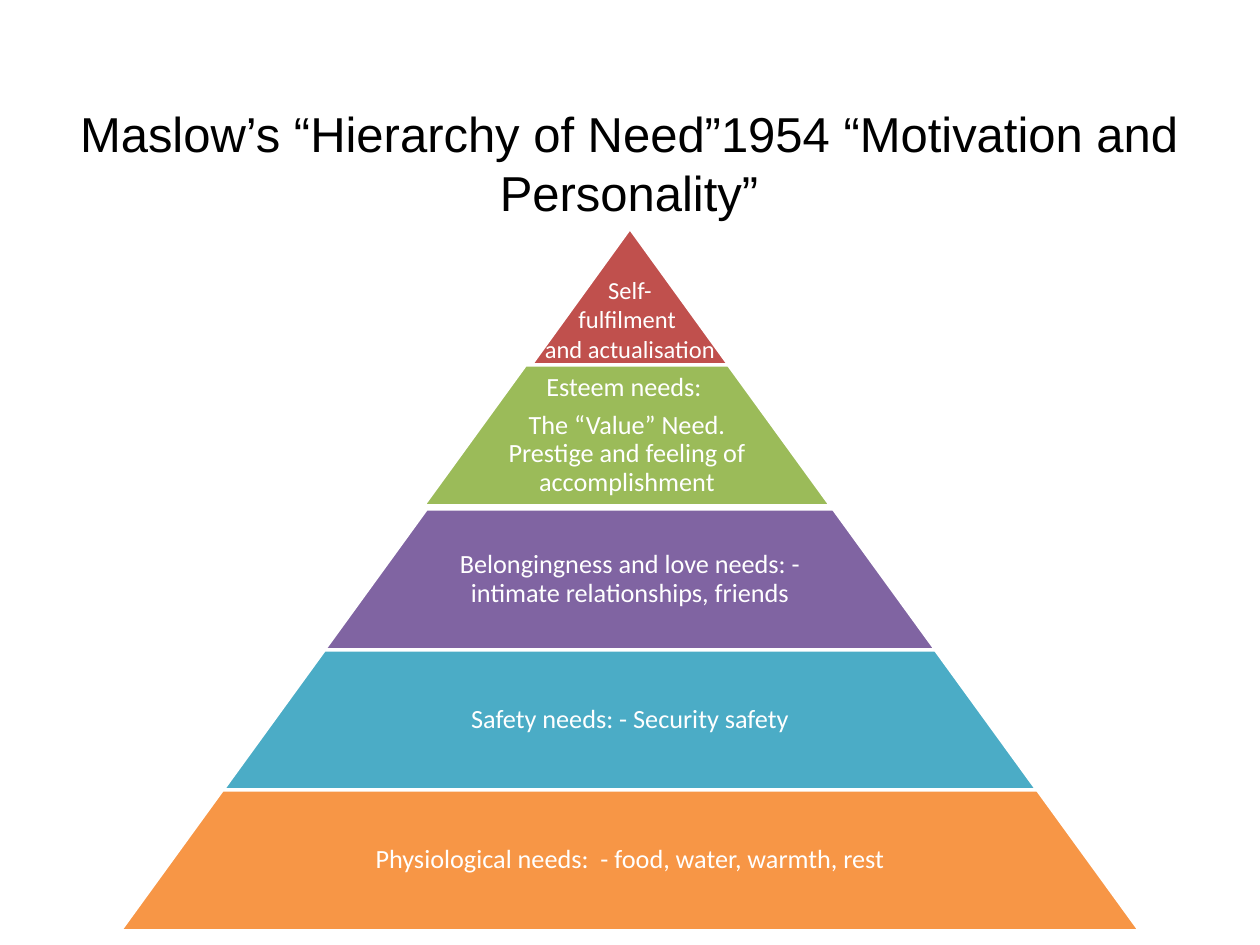
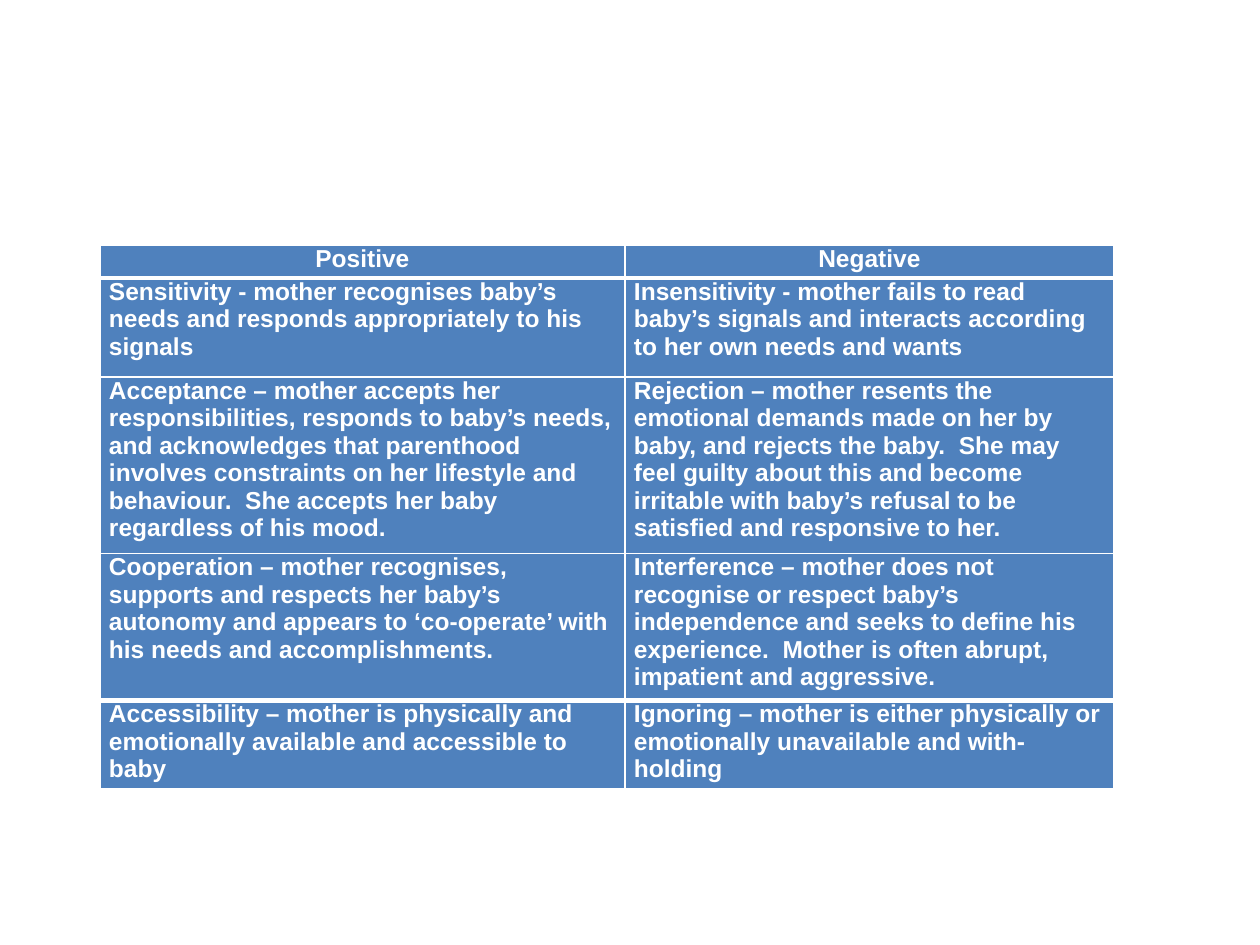
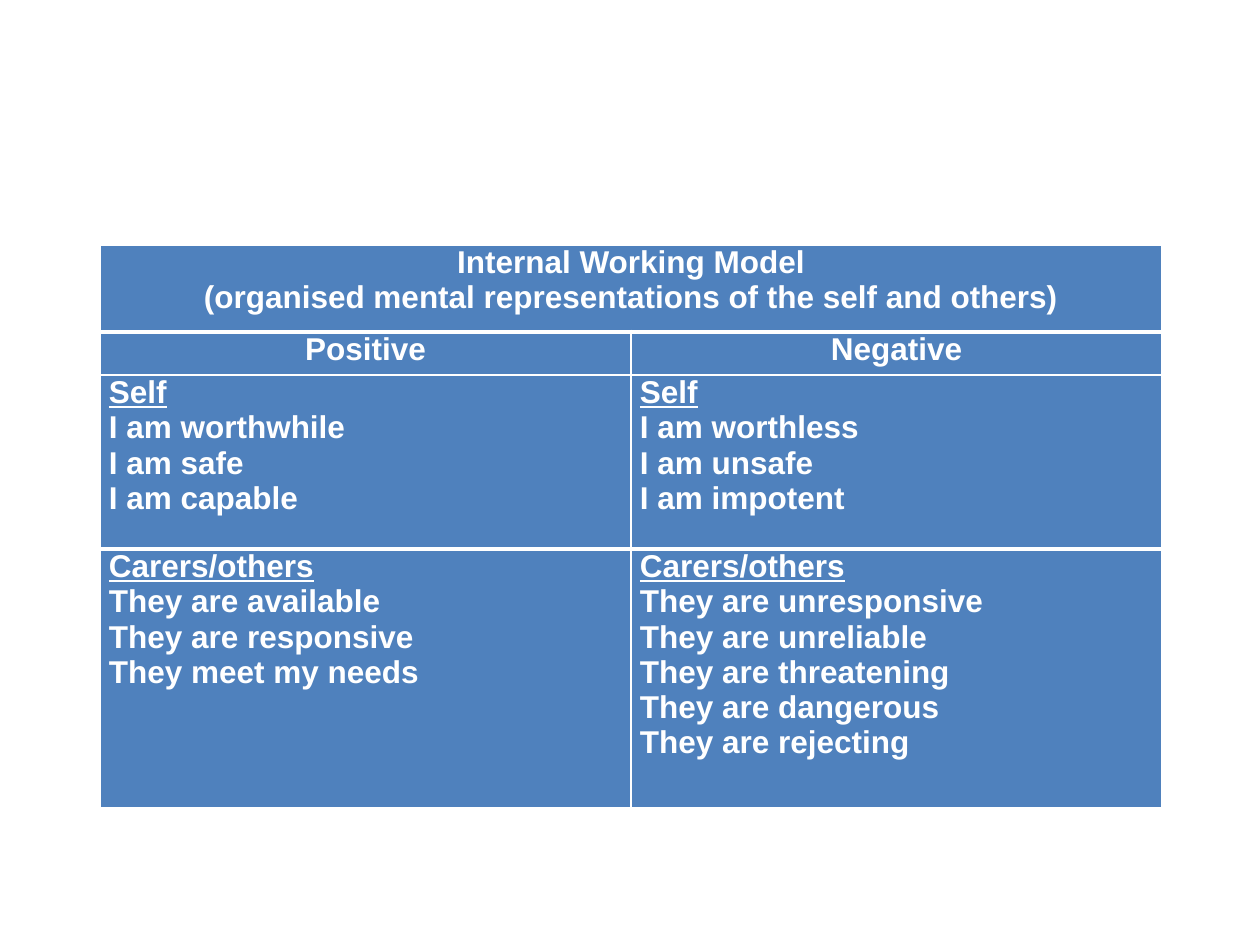
from pptx import Presentation
from pptx import util as u
from pptx.dml import color
from pptx.enum import shapes, text
from pptx.oxml import ns
from lxml import etree

WHITE, BLACK, BLUE = "FFFFFF", "000000", "4F81BD"
MID, CENTER = text.MSO_ANCHOR.MIDDLE, text.PP_ALIGN.CENTER

# Pyramid: (fill, top, centre, text width, top inset, size, lines)
TIERS = [
    ("C0504D", 228, 630, 204, 44, 14,
     ["Self-", "fulfilment ", "and actualisation"]),
    ("9BBB59", 365, 627, 266, 3, 15,
     ["Esteem needs: ",
      "The “Value” Need. Prestige and feeling of accomplishment"]),
    ("8064A2", 509, 630, 398, 3, 15,
     ["Belongingness and love needs: - intimate relationships, friends"]),
    ("4BACC6", 650, 630, 530, 3, 15, ["Safety needs: - Security safety"]),
    ("F79646", 790, 630, 663, 3, 15,
     ["Physiological needs:  - food, water, warmth, rest"]),
]
TIER_H, STEP = 141, 204

CARE = [
    [["Positive"], ["Negative"]],
    [["Sensitivity - mother recognises baby’s needs and responds "
      "appropriately to his signals"],
     ["Insensitivity - mother fails to read baby’s signals and interacts "
      "according to her own needs and wants"]],
    [["Acceptance – mother accepts her responsibilities, responds to baby’s "
      "needs, and acknowledges that parenthood involves constraints on her "
      "lifestyle and behaviour.  She accepts her baby regardless of his mood."],
     ["Rejection – mother resents the emotional demands made on her by baby, "
      "and rejects the baby.  She may feel guilty about this and become "
      "irritable with baby’s refusal to be satisfied and responsive to her."]],
    [["Cooperation – mother recognises, supports and respects her baby’s "
      "autonomy and appears to ‘co-operate’ with his needs and "
      "accomplishments."],
     ["Interference – mother does not recognise or respect baby’s "
      "independence and seeks to define his experience.  Mother is often "
      "abrupt, impatient and aggressive."]],
    [["Accessibility – mother is physically and emotionally available and "
      "accessible to baby"],
     ["Ignoring – mother is either physically or emotionally unavailable and "
      "with-holding"]],
]

MODEL = [
    [["Internal Working Model",
      "(organised mental representations of the self and others)"], []],
    [["Positive"], ["Negative"]],
    [["Self", "I am worthwhile", "I am safe", "I am capable"],
     ["Self", "I am worthless", "I am unsafe", "I am impotent"]],
    [["Carers/others", "They are available", "They are responsive",
      "They meet my needs"],
     ["Carers/others", "They are unresponsive", "They are unreliable",
      "They are threatening", "They are dangerous", "They are rejecting"]],
]


def px(n):
    return u.Emu(round(n * 914400 / 126))


def rgb(code):
    return color.RGBColor.from_string(code)


def write(frame, lines, size, font, ink, align=None, bold=False, head=False,
          space=None, after=0):
    """Fill a text frame; head underlines the first line."""
    for i, line in enumerate(lines):
        para = frame.paragraphs[0] if i == 0 else frame.add_paragraph()
        para.alignment = align
        para.space_after = u.Pt(after)
        if space:
            para.line_spacing = space
        run = para.add_run()
        run.text = line
        face = run.font
        face.name, face.size, face.bold = font, u.Pt(size), bold
        face.underline = head and i == 0
        face.color.rgb = rgb(ink)


def label(parent, x, y, w, h, lines, size, font, ink, pads=None, **look):
    box = parent.add_textbox(px(x), px(y), px(w), px(h))
    frame = box.text_frame
    frame.word_wrap = True
    frame.vertical_anchor = MID
    if pads:
        (frame.margin_left, frame.margin_top,
         frame.margin_right, frame.margin_bottom) = map(px, pads)
    write(frame, lines, size, font, ink, CENTER, **look)


def tier(group, i, fill, top, mid, width, inset, size, lines):
    """One band of the pyramid, each wider than the last by a step."""
    wide = STEP * (i + 1)
    band = group.add_shape(shapes.MSO_SHAPE.TRAPEZOID, px(mid - wide / 2),
                           px(top), px(wide), px(TIER_H))
    band.adjustments[0] = 0.726
    band.shadow.inherit = False
    band.fill.solid()
    band.fill.fore_color.rgb = rgb(fill)
    band.line.color.rgb = rgb(WHITE)
    band.line.width = u.Pt(2)
    solo = i == 0
    label(group, mid - width / 2, top, width, TIER_H, lines, size, "Calibri",
          WHITE, (3, inset, 3, 3), space=None if solo else 0.9,
          after=0 if solo else 5.25)


def edge(cell, side, width):
    props = cell._tc.get_or_add_tcPr()
    line = etree.SubElement(props, ns.qn("a:ln" + side), w=str(u.Pt(width)))
    fill = etree.SubElement(line, ns.qn("a:solidFill"))
    etree.SubElement(fill, ns.qn("a:srgbClr"), val=WHITE)


def grid(slide, data, cols, rows, size, heads):
    """Blue table; thick rules follow the first row and precede the last."""
    frame = slide.shapes.add_table(len(rows), len(cols), px(100), px(245),
                                   px(sum(cols)), px(sum(rows)))
    table = frame.table
    table.horz_banding = False
    for col, wide in zip(table.columns, cols):
        col.width = px(wide)
    last = len(rows) - 1
    for r, high in enumerate(rows):
        table.rows[r].height = px(high)
        for c, lines in enumerate(data[r]):
            cell = table.cell(r, c)
            cell.margin_left = cell.margin_right = px(9)
            cell.margin_top = cell.margin_bottom = 0
            edge(cell, "L", 1)
            edge(cell, "R", 1)
            edge(cell, "T", 3 if r in (1, last) else 1)
            edge(cell, "B", 3 if r in (0, last - 1) else 1)
            cell.fill.solid()
            cell.fill.fore_color.rgb = rgb(BLUE)
            top = r < heads
            write(cell.text_frame, lines, size, "Arial", WHITE,
                  CENTER if top else None, bold=True,
                  head=not top and len(lines) > 1)
    return table


def main():
    deck = Presentation()
    deck.slide_width, deck.slide_height = px(1260), px(945)
    needs, care, model = [deck.slides.add_slide(deck.slide_layouts[6])
                          for _ in range(3)]

    # Hierarchy of needs
    label(needs.shapes, 55, 97, 1148, 131,
          ["Maslow’s “Hierarchy of Need”1954 “Motivation and Personality”"],
          28, "Arial", BLACK)
    group = needs.shapes.add_group_shape().shapes
    for i, row in enumerate(TIERS):
        tier(group, i, *row)

    # Qualities of care
    grid(care, CARE, [525, 489], [33, 99, 176, 147, 88], 14, heads=1)

    # Internal working model
    table = grid(model, MODEL, [531, 531], [87, 43, 174, 259], 18, heads=2)
    table.cell(0, 0).merge(table.cell(0, 1))

    deck.save("out.pptx")


if __name__ == "__main__":
    main()
